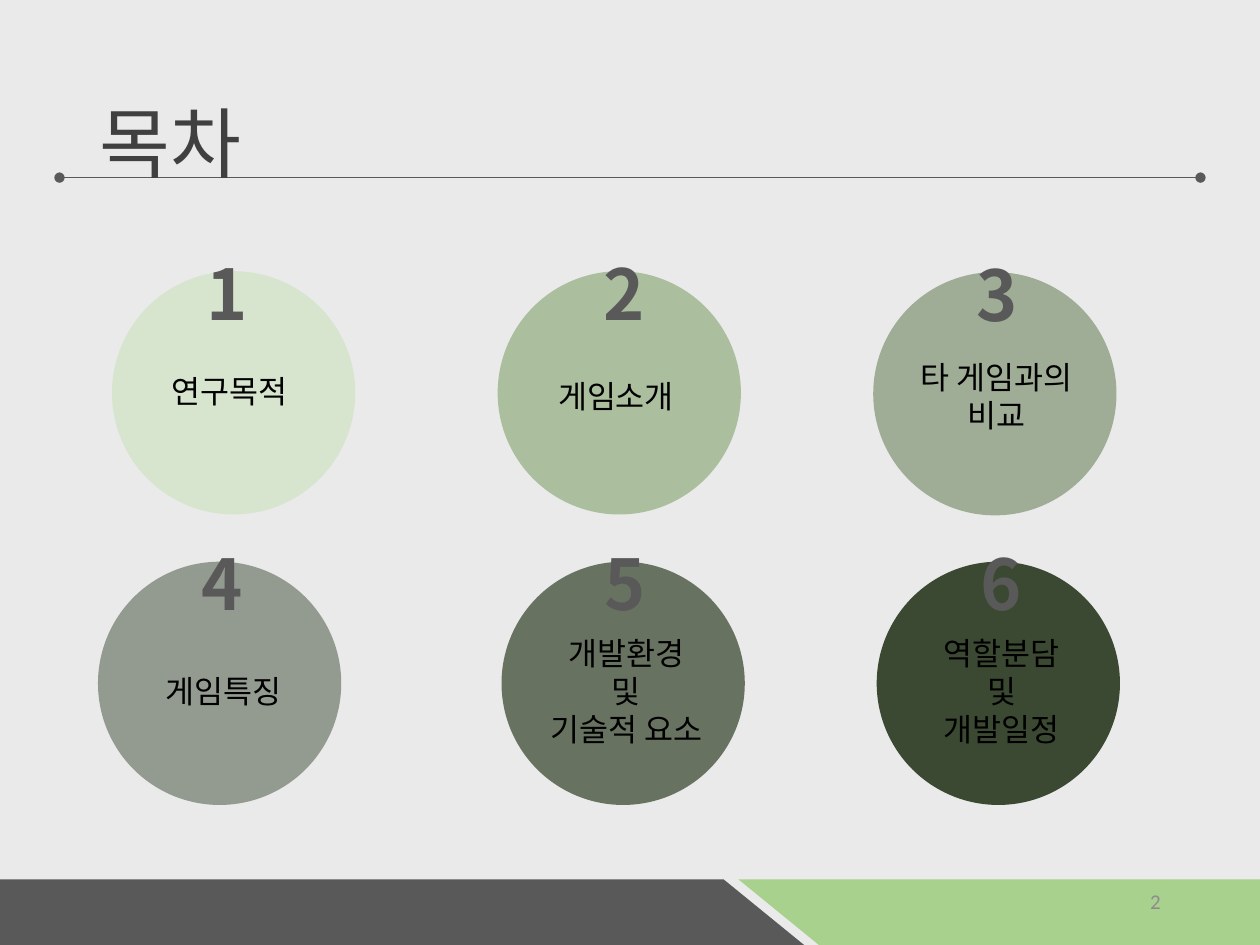
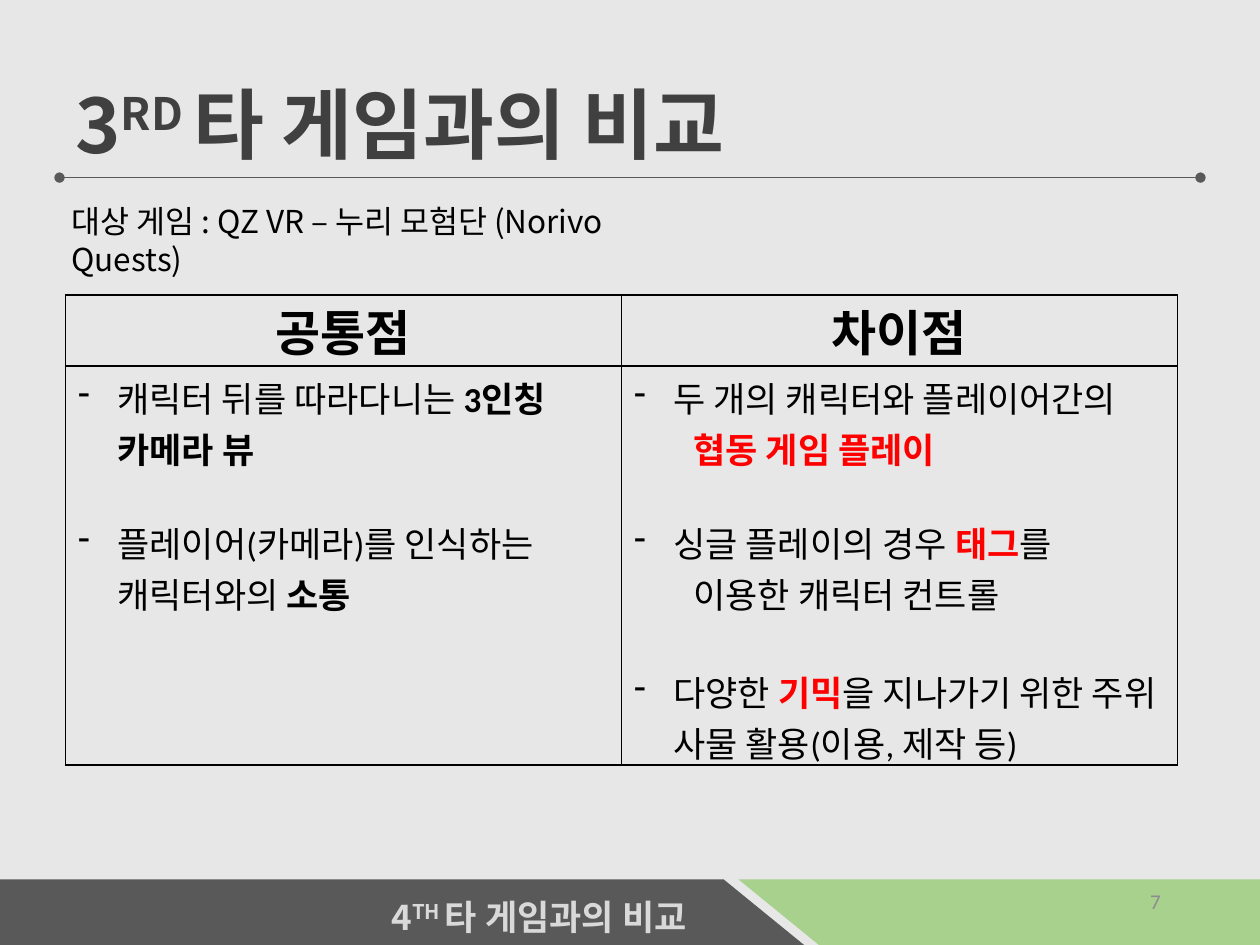
"""Build a contents slide and a game comparison slide with shared bands and title rule."""
from dataclasses import dataclass

from lxml import etree
from pptx import Presentation
from pptx.dml.color import RGBColor
from pptx.enum.shapes import MSO_CONNECTOR, MSO_SHAPE
from pptx.enum.text import MSO_ANCHOR, PP_ALIGN
from pptx.oxml.ns import qn
from pptx.util import Pt

LEFT, CENTER, RIGHT = PP_ALIGN.LEFT, PP_ALIGN.CENTER, PP_ALIGN.RIGHT
TOP, MIDDLE = MSO_ANCHOR.TOP, MSO_ANCHOR.MIDDLE
RECTANGLE, OVAL = MSO_SHAPE.RECTANGLE, MSO_SHAPE.OVAL
STRAIGHT = MSO_CONNECTOR.STRAIGHT


@dataclass(frozen=True)
class Theme:
    font: str = "Noto Sans CJK KR"
    latin: str = "Calibri"
    black: str = "000000"
    dark: str = "404040"
    gray: str = "595959"
    green: str = "A9D18E"
    red: str = "FF0000"
    pale: str = "D9D9D9"
    paper: str = "EAEAEA"
    muted: str = "8C8C8C"
    title: int = 44
    number: int = 40
    heading: int = 28
    body: int = 20
    label: int = 18
    small: int = 12


THEME = Theme()
SUPER = {"baseline": 30}
BOLD = {"bold": True}
ALERT = {"bold": True, "color": THEME.red}

PAGE_WIDTH, PAGE_HEIGHT = 720, 540
BANDS = [
    (THEME.gray, [(-5.76, 502.5), (413.5, 502.5), (459.5, 540), (-5.04, 540)]),
    (THEME.green, [(887, 540), (468, 540), (422, 502.5), (886.5, 502.5)]),
]
RULE = (34, 101.5, 686)
PAGE_NUMBER_BOX = (508.3, 500.4, 162, 28.8)

CIRCLE_SIZE = 139
NUMBER_RISE = 19.5
LABEL_WIDTH = 147
CONTENTS = [
    {"lines": ["연구목적"], "fill": "C5E0B4", "alpha": 51,
     "circle": (64, 155), "number": 111, "label": (131, 209)},
    {"lines": ["게임소개"], "fill": "548235", "alpha": 42,
     "circle": (284.4, 155), "number": 337.7, "label": (352, 211.7)},
    {"lines": ["타 게임과의", "비교"], "fill": "385723", "alpha": 42,
     "circle": (499, 155.5), "number": 551, "label": (569.5, 201)},
    {"lines": ["게임특징"], "fill": "1D2C12", "alpha": 42,
     "circle": (56, 321), "number": 108, "label": (127.5, 380)},
    {"lines": ["개발환경", "및", "기술적 요소"], "fill": "1D2C12", "alpha": 63,
     "circle": (286.6, 321), "number": 338.4, "label": (357.8, 358.6)},
    {"lines": ["역할분담", "및", "개발일정"], "fill": "1D2C12", "alpha": 85,
     "circle": (501, 321), "number": 553, "label": (572.4, 358.6)},
]

COMPARISON_TITLE = "타 게임과의 비교"
TARGET_GAME = "대상 게임 : QZ VR – 누리 모험단 (Norivo Quests)"
TABLE_PLACE = (37.4, 168.6)
COLUMN_WIDTH = 317.75
ROW_HEIGHTS = (40.5, 228)
HEADINGS = ["공통점", "차이점"]
BULLET = {"bullet": "-", "indent": 22.5}
FOLLOW = {"indent": 34}
POINTS = [
    [
        (["캐릭터 뒤를 따라다니는 ", ("3인칭 카메라 뷰", BOLD)], BULLET),
        (["플레이어(카메라)를 인식하는 캐릭터와의 ", ("소통", BOLD)],
         {**BULLET, "before": 24.4}),
    ],
    [
        (["두 개의 캐릭터와 플레이어간의"], BULLET),
        ([("협동 게임 플레이", ALERT)], FOLLOW),
        (["싱글 플레이의 경우 ", ("태그", ALERT), "를"], {**BULLET, "before": 24.4}),
        (["이용한 캐릭터 컨트롤"], FOLLOW),
        (["다양한 ", ("기믹", ALERT), "을 지나가기 위한 주위 사물 활용(이용, 제작 등)"],
         {**BULLET, "before": 27.5}),
    ],
]


def points(values):
    return [Pt(value) for value in values]


def add_span(para, text, size, color, font, bold=False, baseline=0):
    span = para.add_run()
    span.text = text
    span.font.size = Pt(size)
    span.font.bold = bold
    span.font.name = font
    span.font.color.rgb = RGBColor.from_string(color)
    properties = span.font._element
    etree.SubElement(properties, qn("a:ea")).set("typeface", THEME.font)
    if baseline:
        properties.set("baseline", str(baseline * 1000))


def write(frame, paragraphs, size, color=THEME.black, font=THEME.font, bold=False,
          align=LEFT, leading=None):
    """Fill a frame with (spans, paragraph options) pairs."""
    for index, (spans, options) in enumerate(paragraphs):
        para = frame.add_paragraph() if index else frame.paragraphs[0]
        properties = para._p.get_or_add_pPr()
        indent = Pt(options.get("indent", 0))
        if indent:
            properties.set("marL", str(indent))
        if "bullet" in options:
            properties.set("indent", str(-indent))
            etree.SubElement(properties, qn("a:buChar")).set("char", options["bullet"])
        para.alignment = align
        if leading:
            para.line_spacing = Pt(leading * size)
        if "before" in options:
            para.space_before = Pt(options["before"])
        for span in spans:
            text, changes = (span, {}) if isinstance(span, str) else span
            add_span(para, text, **{"size": size, "color": color, "font": font,
                                    "bold": bold, **changes})


def add_text(page, place, lines, anchor=TOP, **text_format):
    frame = page.shapes.add_textbox(*points(place)).text_frame
    frame.word_wrap = True
    frame.vertical_anchor = anchor
    write(frame, [(line, {}) for line in lines], **text_format)


def paint(shape, color, alpha=100):
    shape.shadow.inherit = False
    shape.line.fill.background()
    shape.fill.solid()
    shape.fill.fore_color.rgb = RGBColor.from_string(color)
    if alpha < 100:
        tint = shape._element.spPr.find(qn("a:solidFill"))[0]
        etree.SubElement(tint, qn("a:alpha")).set("val", str(alpha * 1000))


def add_shape(page, kind, place, color, alpha=100):
    paint(page.shapes.add_shape(kind, *points(place)), color, alpha)


def add_rule(page):
    left, top, right = RULE
    rule = page.shapes.add_connector(STRAIGHT, *points((left, top, right, top)))
    rule.line.width = Pt(0.5)
    rule.line.color.rgb = RGBColor.from_string(THEME.gray)
    outline = rule.line._get_or_add_ln()
    for end in ("a:headEnd", "a:tailEnd"):
        etree.SubElement(outline, qn(end)).set("type", "oval")
    etree.SubElement(rule._element.spPr, qn("a:effectLst"))


def add_page(deck, number, paper, alpha=100):
    page = deck.slides.add_slide(deck.slide_layouts[6])
    add_shape(page, RECTANGLE, (0, 0, PAGE_WIDTH, PAGE_HEIGHT), paper, alpha)
    for color, corners in BANDS:
        start, *rest = [points(corner) for corner in corners]
        builder = page.shapes.build_freeform(*start, scale=1.0)
        builder.add_line_segments(rest, close=True)
        paint(builder.convert_to_shape(), color)
    add_rule(page)
    add_text(page, PAGE_NUMBER_BOX, [[str(number)]], anchor=MIDDLE, align=RIGHT,
             size=THEME.small, color=THEME.muted, font=THEME.latin)
    return page


def add_title(page, place, spans, **text_format):
    add_text(page, place, [spans], anchor=MIDDLE, size=THEME.title,
             color=THEME.dark, **text_format)


def border(cell):
    properties = cell._tc.get_or_add_tcPr()
    for side in ("a:lnL", "a:lnR", "a:lnT", "a:lnB"):
        edge = etree.SubElement(properties, qn(side), w=str(Pt(1)))
        fill = etree.SubElement(edge, qn("a:solidFill"))
        etree.SubElement(fill, qn("a:srgbClr")).set("val", THEME.black)


def add_comparison(page):
    size = (COLUMN_WIDTH * len(HEADINGS), sum(ROW_HEIGHTS))
    table = page.shapes.add_table(len(ROW_HEIGHTS), len(HEADINGS),
                                  *points(TABLE_PLACE + size)).table
    table.first_row = table.horz_banding = False
    for row, height in zip(table.rows, ROW_HEIGHTS):
        row.height = Pt(height)
    for cell in table.iter_cells():
        border(cell)
        cell.fill.background()
        cell.margin_top = cell.margin_bottom = 0
    for column, (heading, items) in enumerate(zip(HEADINGS, POINTS)):
        write(table.cell(0, column).text_frame, [([heading], {})], size=THEME.heading,
              font=THEME.latin, bold=True, align=CENTER)
        body = table.cell(1, column)
        body.margin_top = Pt(3.6)
        write(body.text_frame, items, size=THEME.body, font=THEME.latin)


def build_contents(deck):
    page = add_page(deck, 2, THEME.paper)
    add_title(page, (49.7, 28.8, 620.6, 104.4), ["목차"], leading=1.2)
    for number, item in enumerate(CONTENTS, 1):
        left, top = item["circle"]
        add_shape(page, OVAL, (left, top, CIRCLE_SIZE, CIRCLE_SIZE),
                  item["fill"], item["alpha"])
        add_text(page, (item["number"], top - NUMBER_RISE, 45.4, 55.4), [[str(number)]],
                 size=THEME.number, color=THEME.gray, bold=True, leading=1.3)
        middle, label_top = item["label"]
        lines = item["lines"]
        add_text(page, (middle - LABEL_WIDTH / 2, label_top, LABEL_WIDTH,
                        7.2 + 21.8 * len(lines)),
                 [[line] for line in lines], size=THEME.label, align=CENTER, leading=1.21)


def build_comparison(deck):
    page = add_page(deck, 7, THEME.pale, 61)
    add_title(page, (36, 21.6, 648, 90), ["3", ("RD ", SUPER), COMPARISON_TITLE],
              bold=True, leading=1.35)
    add_text(page, (11.5, 506.2, 388, 31.7), [["4", ("TH ", SUPER), COMPARISON_TITLE]],
             size=THEME.body, color=THEME.pale, bold=True, align=RIGHT, leading=1.29)
    add_comparison(page)
    add_text(page, (33.8, 111.6, 365.8, 28.8), [[TARGET_GAME]], size=THEME.label,
             leading=1.21)


def main():
    deck = Presentation()
    deck.slide_width, deck.slide_height = Pt(PAGE_WIDTH), Pt(PAGE_HEIGHT)
    build_contents(deck)
    build_comparison(deck)
    deck.save("out.pptx")


if __name__ == "__main__":
    main()
